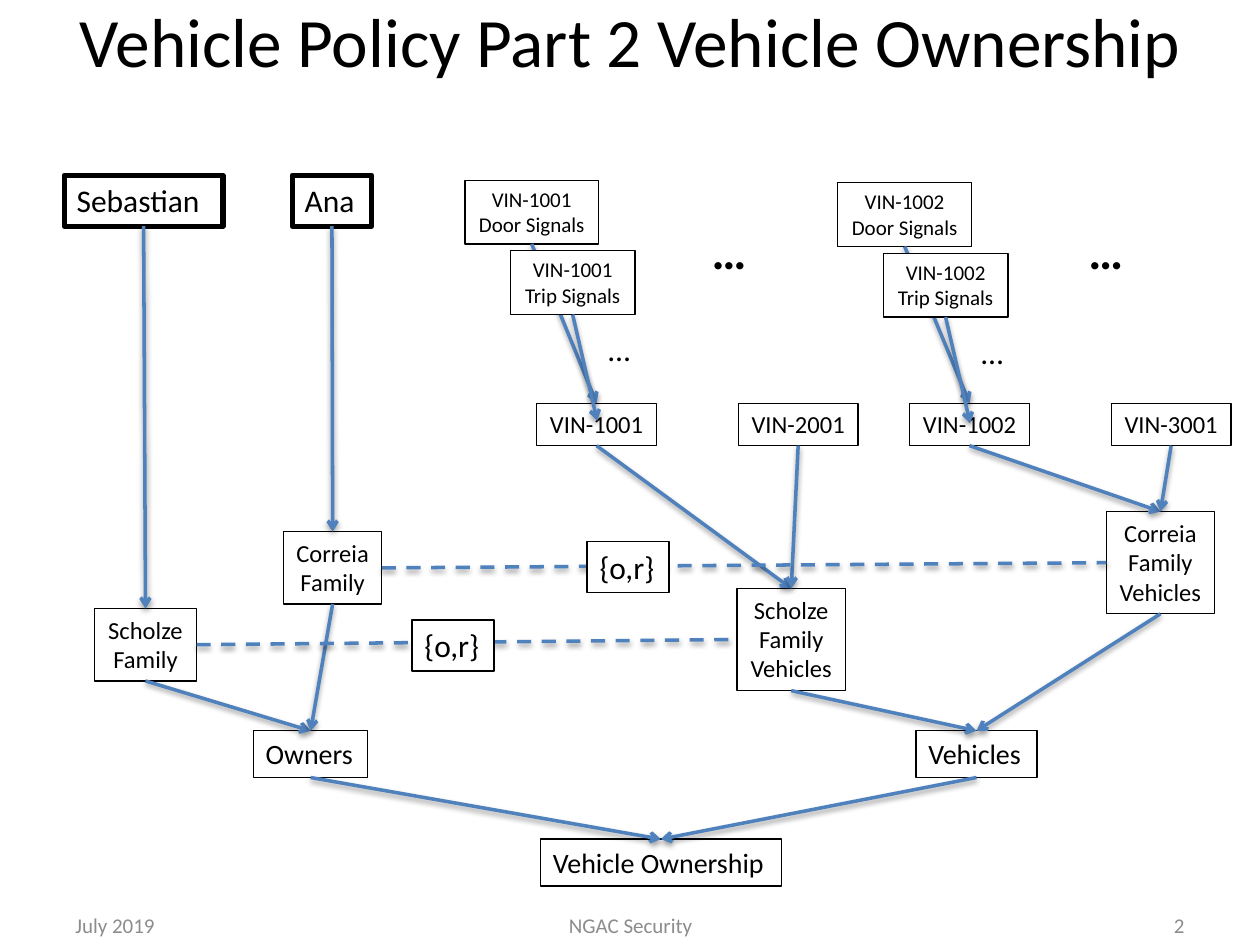
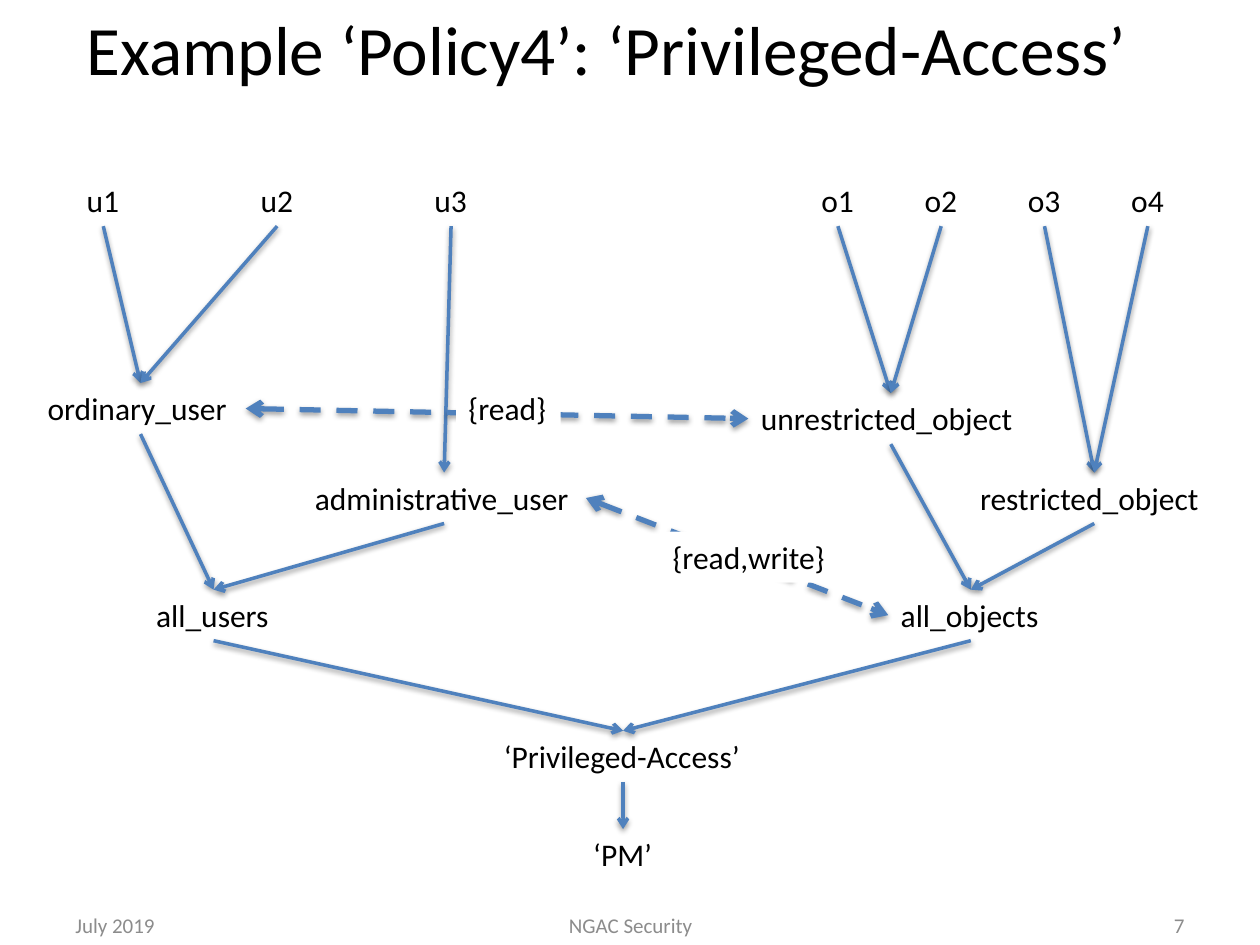
import pptx
import pptx.util
import pptx.dml.color
import pptx.enum.dml
import pptx.enum.shapes
import pptx.enum.text
import lxml.etree

Inch = pptx.util.Inches
Align = pptx.enum.text.PP_ALIGN
Anchor = pptx.enum.text.MSO_ANCHOR
NS = "http://schemas.openxmlformats.org/drawingml/2006/main"
WIDE, HIGH = 10, 7.5
FONT = "Calibri"
HUES = {"ink": "000000", "paper": "FFFFFF", "link": "4F81BD", "foot": "8C8C8C"}
ALIGNS = {"l": Align.LEFT, "c": Align.CENTER, "r": Align.RIGHT}

STYLES = {
    "person": dict(size=18, wrap=True, edge=3),
    "group": dict(size=14, align="c", edge=0.75),
    "signal": dict(size=12, align="c", edge=0.75, fill="paper"),
    "class": dict(size=16, wrap=True, edge=0.75),
    "rights": dict(size=18, edge=0.75, fill="paper"),
    "tag": dict(size=18, fill="paper"),
    "name": dict(size=18),
    "more": dict(size=28, wrap=True, bold=True),
}
LINKS = {
    "member": dict(sides=(2, 0), width=2, tail=True),
    "grant": dict(sides=(3, 1), width=2, dash=True),
    "access": dict(sides=(3, 1), width=3, dash=True, head=True, tail=True),
}

CARS = [("VIN-1001", "VIN-2001", 3.69, 1.43, 5.55),
        ("VIN-1002", "VIN-3001", 6.65, 1.45, 8.54)]
VIN_TOP = 3.2

OWNER_NODES = [
    ("Sebastian", "person", 0.51, 1.39, 1.26),
    ("Ana", "person", 2.32, 1.39, 0.63),
    ("Scholze\nFamily", "group", 0.75, 4.83, 0.81),
    ("Correia\nFamily", "group", 2.25, 4.22, 0.78),
    ("Scholze\nFamily\nVehicles", "group", 5.85, 4.67, 0.86),
    ("Correia\nFamily\nVehicles", "group", 8.78, 4.06, 0.86),
    ("Owners", "class", 2.01, 5.8, 0.91),
    ("Vehicles", "class", 7.27, 5.8, 0.96),
    ("Vehicle Ownership", "class", 4.29, 6.66, 1.91),
]
OWNER_LINKS = [
    ("Sebastian", "Scholze\nFamily", "member"),
    ("Ana", "Correia\nFamily", "member"),
    ("Scholze\nFamily", "Owners", "member"),
    ("Correia\nFamily", "Owners", "member"),
    ("VIN-1001", "Scholze\nFamily\nVehicles", "member"),
    ("VIN-2001", "Scholze\nFamily\nVehicles", "member"),
    ("VIN-1002", "Correia\nFamily\nVehicles", "member"),
    ("VIN-3001", "Correia\nFamily\nVehicles", "member"),
    ("Scholze\nFamily\nVehicles", "Vehicles", "member"),
    ("Correia\nFamily\nVehicles", "Vehicles", "member"),
    ("Owners", "Vehicle Ownership", "member"),
    ("Vehicles", "Vehicle Ownership", "member"),
    ("Scholze\nFamily", "Scholze\nFamily\nVehicles", "grant"),
    ("Correia\nFamily", "Correia\nFamily\nVehicles", "grant"),
]
OWNER_TOPS = [("{o,r}", "rights", 3.27, 4.92, 0.65),
              ("{o,r}", "rights", 4.66, 4.3, 0.65)]

ACCESS_NODES = [
    *[(f"u{n + 1}", "name", 0.59 + 1.38 * n, 1.39, 0.46) for n in range(3)],
    *[(f"o{n + 1}", "name", 6.42 + 0.82 * n, 1.39, 0.46) for n in range(4)],
    ("ordinary_user", "name", 0.28, 3.04, 1.67),
    ("administrative_user", "name", 2.4, 3.75, 2.25),
    ("all_users", "name", 1.14, 4.68, 1.11),
    ("all_objects", "name", 7.05, 4.68, 1.31),
    ("unrestricted_object", "name", 5.94, 3.12, 2.26),
    ("restricted_object", "name", 7.68, 3.75, 2.01),
    ("‘PM’", "name", 4.61, 6.58, 0.67),
    ("‘Privileged-Access’", "name", 3.9, 5.8, 2.09),
]
PARENTS = {
    "ordinary_user": ["u1", "u2"],
    "administrative_user": ["u3"],
    "unrestricted_object": ["o1", "o2"],
    "restricted_object": ["o3", "o4"],
    "all_users": ["ordinary_user", "administrative_user"],
    "all_objects": ["unrestricted_object", "restricted_object"],
    "‘Privileged-Access’": ["all_users", "all_objects"],
    "‘PM’": ["‘Privileged-Access’"],
}
ACCESS_LINKS = [(kid, top, "member") for top, kids in PARENTS.items() for kid in kids] + [
    ("ordinary_user", "unrestricted_object", "access"),
    ("administrative_user", "all_objects", "access"),
]
ACCESS_TOPS = [("{read}", "tag", 3.62, 3.04, 0.83),
               ("{read,write}", "tag", 5.24, 4.22, 1.44)]


def car_parts():
    nodes, links, tops, late = [], [], [], []
    for vin, other, x, y, more in CARS:
        door, trip = f"{vin}\nDoor Signals", f"{vin}\nTrip Signals"
        nodes += [(vin, "group", x + 0.57, VIN_TOP, 0.95),
                  (other, "group", x + 2.17, VIN_TOP, 0.95),
                  (door, "signal", x, y, 1.06),
                  ("…", "name", x + 1.04, y + 1.14, 0.41),
                  ("…", "more", more, 1.7, 0.5)]
        links.append((door, vin, "member"))
        tops.append((trip, "signal", x + 0.36, y + 0.56, 0.99))
        late.append((trip, (x + 1.05, y + 1.91), "member"))
    return nodes, links, tops, late


def hue(name):
    return pptx.dml.color.RGBColor.from_string(HUES[name])


def write(shape, text, size, align="l", wrap=False, bold=False, color="ink",
          anchor=Anchor.TOP, grow=False):
    frame = shape.text_frame
    frame.word_wrap = wrap
    frame.vertical_anchor = anchor
    if grow:
        frame.auto_size = pptx.enum.text.MSO_AUTO_SIZE.SHAPE_TO_FIT_TEXT
    para = frame.paragraphs[0]
    para.alignment = ALIGNS[align]
    for n, line in enumerate(text.split("\n")):
        if n:
            para.add_line_break()
        run = para.add_run()
        run.text = line
        run.font.name = FONT
        run.font.size = pptx.util.Pt(size)
        run.font.bold = bold
        run.font.color.rgb = hue(color)


def add_node(slide, text, style, x, y, w):
    look = dict(STYLES[style])
    edge, fill = look.pop("edge", 0), look.pop("fill", None)
    h = 0.1 + (text.count("\n") + 1) * look["size"] * 1.22 / 72
    box = [Inch(v) for v in (x, y, w, h)]
    if edge or fill:
        shape = slide.shapes.add_shape(pptx.enum.shapes.MSO_SHAPE.RECTANGLE, *box)
        shape.shadow.inherit = False
        if fill:
            shape.fill.solid()
            shape.fill.fore_color.rgb = hue(fill)
        else:
            shape.fill.background()
        if edge:
            shape.line.color.rgb = hue("ink")
            shape.line.width = pptx.util.Pt(edge)
        else:
            shape.line.fill.background()
    else:
        shape = slide.shapes.add_textbox(*box)
    write(shape, text, grow=True, **look)
    return shape


def sub(parent, tag, **attrs):
    return lxml.etree.SubElement(parent, f"{{{NS}}}{tag}", attrs)


def add_link(slide, made, start, end, kind):
    look = LINKS[kind]
    out, into = look["sides"]
    spot = end if isinstance(end, tuple) else (0, 0)
    link = slide.shapes.add_connector(
        pptx.enum.shapes.MSO_CONNECTOR.STRAIGHT, 0, 0, *map(Inch, spot))
    link.begin_connect(made[start], out)
    if end in made:
        link.end_connect(made[end], into)
    link.line.color.rgb = hue("link")
    link.line.width = pptx.util.Pt(look["width"])
    if look.get("dash"):
        link.line.dash_style = pptx.enum.dml.MSO_LINE.DASH
    props = link._element.spPr
    line = props.find(f"{{{NS}}}ln")
    for side in ("head", "tail"):
        if look.get(side):
            sub(line, f"{side}End", type="arrow")
    shade = sub(sub(props, "effectLst"), "outerShdw", blurRad="40000",
                dist="20000", dir="5400000", rotWithShape="0")
    sub(sub(shade, "srgbClr", val=HUES["ink"]), "alpha", val="38000")


def add_label(slide, box, text, size, align, color="ink"):
    shape = slide.shapes.add_textbox(*map(Inch, box))
    write(shape, text, size, align, wrap=True, color=color, anchor=Anchor.MIDDLE)


def add_slide(deck, title, box, align, page, layers):
    slide = deck.slides.add_slide(deck.slide_layouts[6])
    add_label(slide, box, title, 39.6, align)
    made = {}
    for nodes, links in layers:
        for node in nodes:
            made[node[0]] = add_node(slide, *node)
        for link in links:
            add_link(slide, made, *link)
    for text, x, w, side in (("July 2019", 0.5, 2.33, "l"),
                             ("NGAC Security", 3.42, 3.17, "c"),
                             (page, 7.17, 2.33, "r")):
        add_label(slide, (x, 7.14, w, 0.4), text, 12, side, "foot")


def main():
    deck = pptx.Presentation()
    deck.slide_width, deck.slide_height = Inch(WIDE), Inch(HIGH)
    nodes, links, tops, late = car_parts()
    add_slide(deck, "Vehicle Policy Part 2 Vehicle Ownership",
              (0.28, -0.03, 9.45, 0.69), "c", "2",
              [(OWNER_NODES + nodes, OWNER_LINKS + links), (OWNER_TOPS + tops, late)])
    add_slide(deck, "Example ‘Policy4’: ‘Privileged-Access’",
              (0.59, 0, 9, 0.76), "l", "7",
              [(ACCESS_NODES, ACCESS_LINKS), (ACCESS_TOPS, [])])
    deck.save("out.pptx")


if __name__ == "__main__":
    main()
